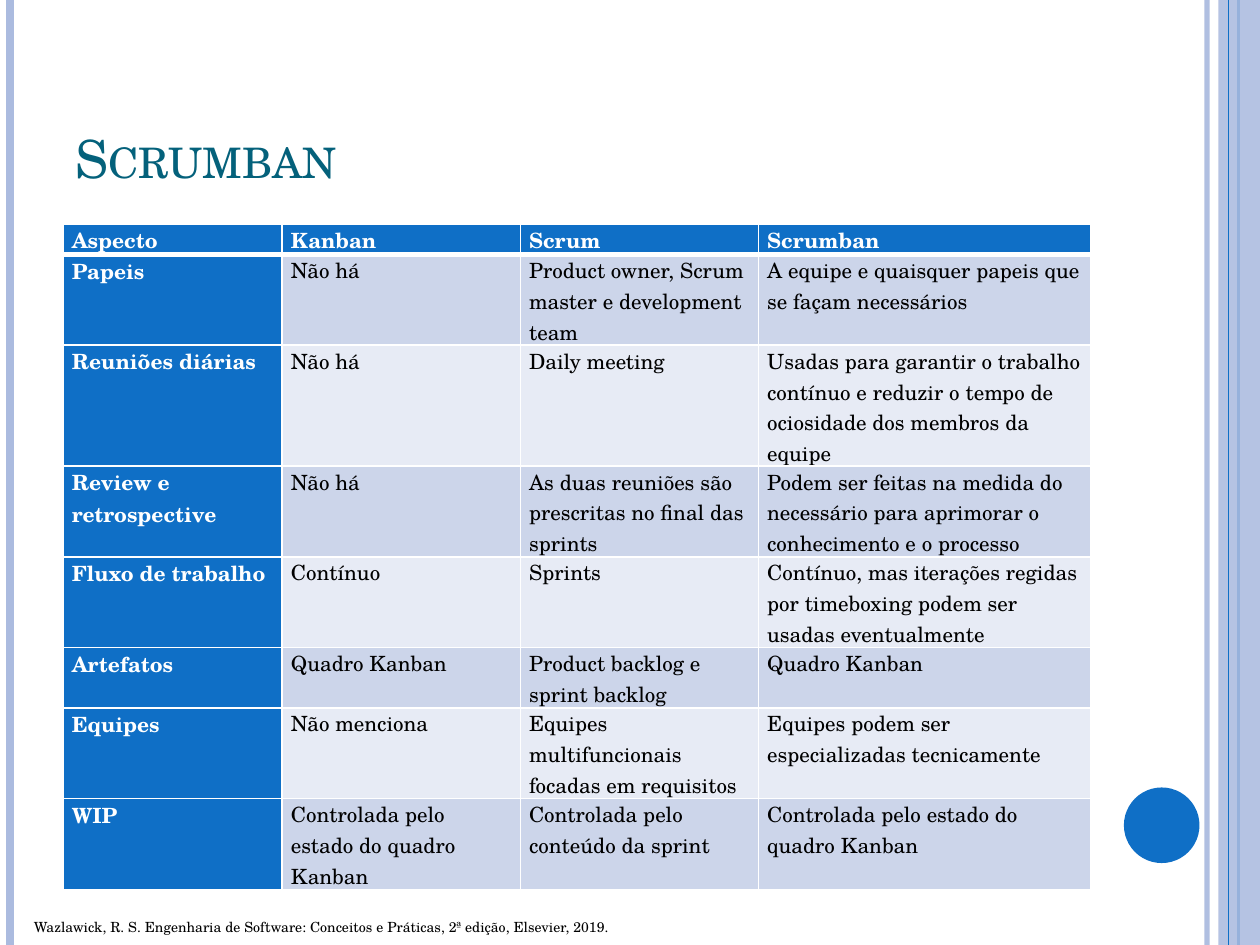
from lxml import etree
from pptx import Presentation
from pptx.dml.color import RGBColor
from pptx.enum.shapes import MSO_CONNECTOR, MSO_SHAPE
from pptx.enum.text import MSO_ANCHOR, MSO_AUTO_SIZE, PP_ALIGN
from pptx.oxml.ns import qn
from pptx.util import Inches, Pt

LINE = MSO_CONNECTOR.STRAIGHT
RECT, OVAL = MSO_SHAPE.RECTANGLE, MSO_SHAPE.OVAL
BOTTOM, LEFT, FIXED = MSO_ANCHOR.BOTTOM, PP_ALIGN.LEFT, MSO_AUTO_SIZE.NONE
FONT = "TeX Gyre Schola"
HUES = {"blue": "0F6FC6", "pale": "ABBBDF", "teal": "04617B", "black": "000000",
        "white": "FFFFFF", "odd": "CCD5EA", "even": "E7EBF5"}


def add_run(para, text, size, hue, bold=False):
    run = para.add_run()
    run.text = text
    run.font.name, run.font.size, run.font.bold = FONT, Pt(size), bold
    run.font.color.rgb = RGBColor.from_string(HUES[hue])
    return run


def paint(fill, hue, alpha=100):
    """Fill solidly, with alpha as percent opacity."""
    fill.solid()
    fill.fore_color.rgb = RGBColor.from_string(HUES[hue])
    if alpha < 100:
        tone = fill._xPr.find(qn("a:solidFill"))[0]
        etree.SubElement(tone, qn("a:alpha"), val=str(alpha * 1000))


prs = Presentation()
prs.slide_width, prs.slide_height = Inches(10), Inches(7.5)
wide, high = prs.slide_width, prs.slide_height
slide = prs.slides.add_slide(prs.slide_layouts[5])
shapes = slide.shapes

# Side stripes: x, hue, width, opacity; None marks the wide band
stripes = [(9.58, "pale", 3, 93), (0.08, "pale", 4.5, 100), (9.83, "blue", 1.5, 100),
           (9.67, "pale", None, 87), (9.75, "blue", 0.75, 100)]
for x, hue, width, alpha in stripes:
    left = Inches(x)
    if width is None:
        band = shapes.add_shape(RECT, left, 0, wide - left, high)
        band.shadow.inherit = False
        band.line.fill.background()
        paint(band.fill, hue, alpha)
        continue
    rule = shapes.add_connector(LINE, left, 0, left, high)
    rule.line.width = Pt(width)
    paint(rule.line.fill, hue, alpha)
    etree.SubElement(rule._element.spPr, qn("a:effectLst"))

disc = shapes.add_shape(OVAL, Inches(8.92), Inches(6.25), Inches(0.6), Inches(0.6))
disc.shadow.inherit = False
disc.line.fill.background()
paint(disc.fill, "blue")

source = shapes.add_textbox(Inches(0.17), Inches(7.24), Inches(4.83), Inches(0.24))
source.text_frame.word_wrap = False
add_run(source.text_frame.paragraphs[0],
        "Wazlawick, R. S. Engenharia de Software: Conceitos e Práticas, "
        "2ª edição, Elsevier, 2019.", 8, "black")

title = shapes.title
title.left, title.top = Inches(0.5), Inches(0.3)
title.width, title.height = Inches(8.17), Inches(1.25)
frame = title.text_frame
frame.auto_size, frame.vertical_anchor = FIXED, BOTTOM
frame.paragraphs[0].alignment = LEFT
head = add_run(frame.paragraphs[0], "Scrumban", 30, "teal")
head.font._element.set("cap", "small")

# Each row: its height in text lines, then its cells
rows = [
    (1, "Aspecto", "Kanban", "Scrum", "Scrumban"),
    (3, "Papeis", "Não há", "Product owner, Scrum master e development team",
     "A equipe e quaisquer papeis que se façam necessários"),
    (4, "Reuniões diárias", "Não há", "Daily meeting",
     "Usadas para garantir o trabalho contínuo e reduzir o tempo de "
     "ociosidade dos membros da equipe"),
    (3, "Review e retrospective", "Não há",
     "As duas reuniões são prescritas no final das sprints",
     "Podem ser feitas na medida do necessário para aprimorar o "
     "conhecimento e o processo"),
    (3, "Fluxo de trabalho", "Contínuo", "Sprints",
     "Contínuo, mas iterações regidas por timeboxing podem ser usadas eventualmente"),
    (2, "Artefatos", "Quadro Kanban", "Product backlog e sprint backlog", "Quadro Kanban"),
    (3, "Equipes", "Não menciona", "Equipes multifuncionais focadas em requisitos",
     "Equipes podem ser especializadas tecnicamente"),
    (3, "WIP", "Controlada pelo estado do quadro Kanban",
     "Controlada pelo conteúdo da sprint", "Controlada pelo estado do quadro Kanban"),
]
cols = [1.74, 1.89, 1.89, 2.64]
pitch = Inches(0.24)
total = pitch * sum(row[0] for row in rows)
table = shapes.add_table(len(rows), len(cols), Inches(0.5), Inches(1.78),
                         Inches(sum(cols)), total).table
for col, width in zip(table.columns, cols):
    col.width = Inches(width)

for r, (lines, *texts) in enumerate(rows):
    table.rows[r].height = pitch * lines
    for c, text in enumerate(texts):
        cell = table.cell(r, c)
        cell.margin_left = cell.margin_right = Inches(0.07)
        cell.margin_top = cell.margin_bottom = 0
        props = cell._tc.get_or_add_tcPr()
        for side in "LRTB":
            thick = (r, side) in ((0, "B"), (1, "T"))
            edge = etree.SubElement(props, qn(f"a:ln{side}"), w=str(Pt(3 if thick else 1)))
            ink = etree.SubElement(edge, qn("a:solidFill"))
            etree.SubElement(ink, qn("a:srgbClr"), val=HUES["white"])
        label = r == 0 or c == 0
        paint(cell.fill, "blue" if label else "odd" if r % 2 else "even")
        add_run(cell.text_frame.paragraphs[0], text, 12,
                "white" if label else "black", label)

prs.save("out.pptx")
